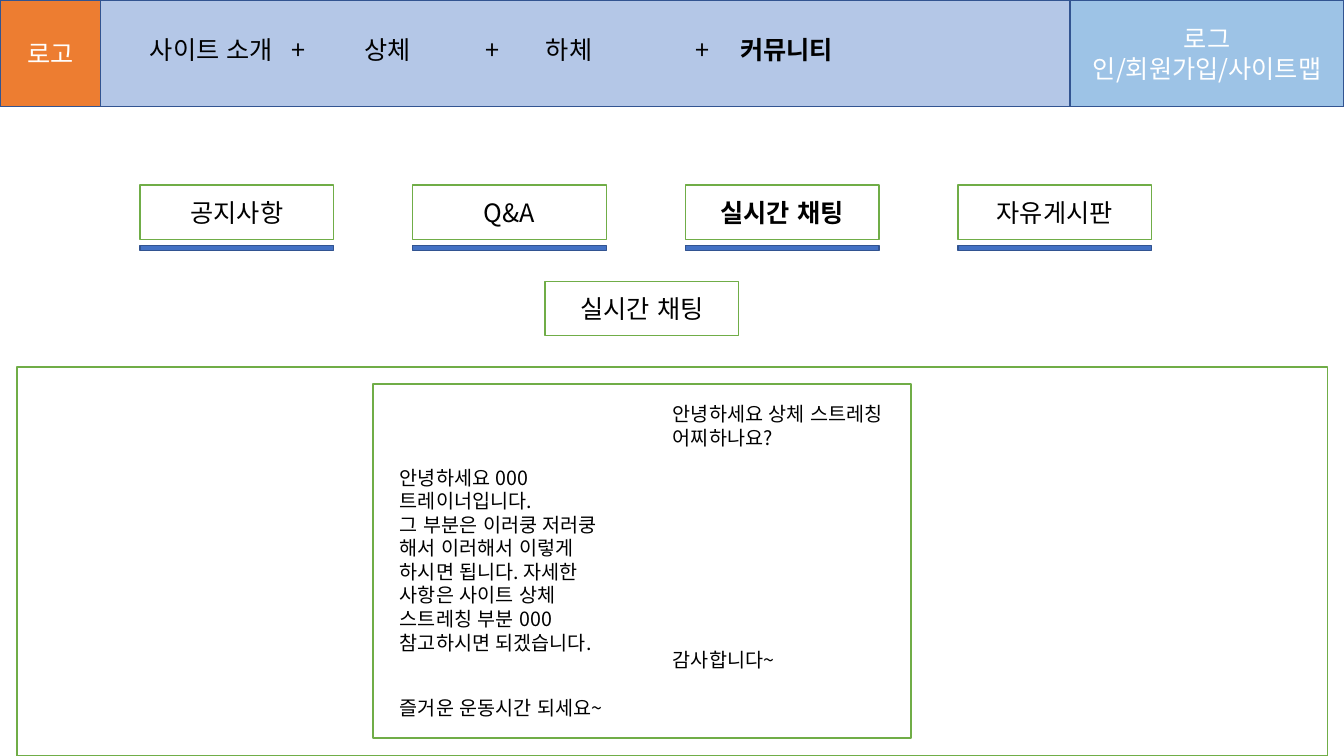
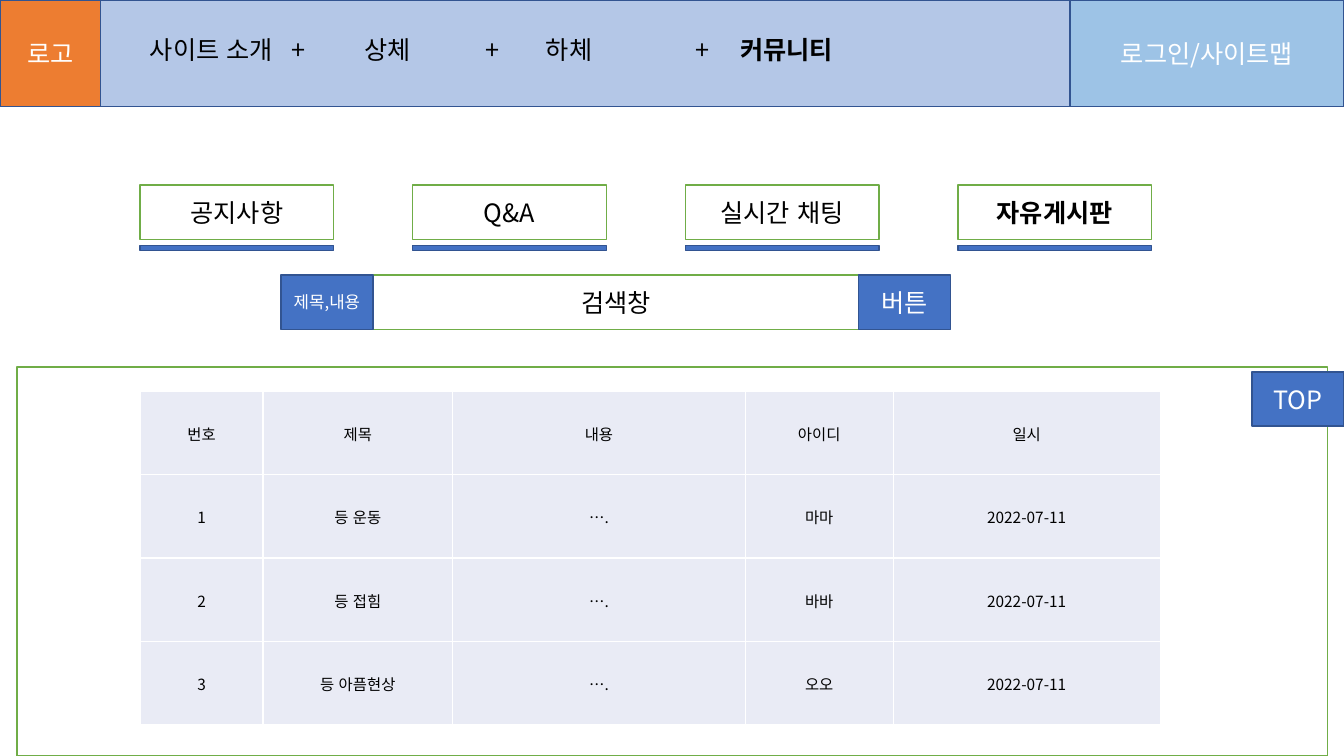
from lxml.etree import SubElement
from pptx import Presentation
from pptx.dml.color import RGBColor
from pptx.enum.lang import MSO_LANGUAGE_ID as LANG
from pptx.enum.shapes import MSO_SHAPE as SHAPE
from pptx.enum.text import MSO_ANCHOR as ANCHOR, MSO_AUTO_SIZE as AUTO, PP_ALIGN as ALIGN
from pptx.oxml.ns import qn
from pptx.util import Cm, Pt

FONT = "Noto Sans CJK KR"
WHITE = RGBColor(0xFF, 0xFF, 0xFF)
BLACK = RGBColor(0x00, 0x00, 0x00)
BLUE = RGBColor(0x44, 0x72, 0xC4)
NAVY = RGBColor(0x32, 0x54, 0x91)
ORANGE = RGBColor(0xED, 0x7D, 0x31)
NAV_BLUE = RGBColor(0xB4, 0xC7, 0xE7)
LOGIN_BLUE = RGBColor(0x9D, 0xC3, 0xE6)
GREEN = RGBColor(0x70, 0xAD, 0x47)
CELL_GREY = RGBColor(0xE9, 0xEB, 0xF5)

SLIDE_W, SLIDE_H = 33.87, 19.05
HEADER_H = 2.69
LOGO_W, NAV_W = 2.54, 24.43
LEFT = 3.53
BOX_W, BOX_H = 4.88, 1.37
BUTTON_W = 2.32
TAB_TOP, TAB_PITCH, BAR_TOP, BAR_H = 4.66, 6.87, 6.18, 0.13
PANEL_TOP = 9.25

NAV_ITEMS = ["사이트 소개", "+", "상체", "+", "하체", "+"]
NAV_STOPS = [3.57, 5.4, 8.46, 9.98, 13.76, 14.87]
TABS = ["공지사항", "Q&A", "실시간 채팅", "자유게시판"]

CHAT = [
    (9.83, 11.61, 5.99, 5.05, [
        "안녕하세요 000 트레이너입니다. ",
        "그 부분은 이러쿵 저러쿵 해서 이러해서 이렇게 하시면 됩니다. "
        "자세한 사항은 사이트 상체 스트레칭 부분 000 참고하시면 되겠습니다."]),
    (16.71, 10.01, 5.99, 1.45, ["안녕하세요 상체 스트레칭 어찌하나요?"]),
    (16.71, 16.21, 5.99, 0.86, ["감사합니다~"]),
    (9.83, 17.42, 6.6, 0.86, ["즐거운 운동시간 되세요~"]),
]

COLUMNS = [3.1, 4.78, 7.37, 3.73, 6.73]
ROW_H = 2.1
DATE = "2022-07-11"
POSTS = [
    ["번호", "제목", "내용", "아이디", "일시"],
    ["1", "등 운동", "….", "마마", DATE],
    ["2", "등 접힘", "….", "바바", DATE],
    ["3", "등 아픔현상", "….", "오오", DATE],
]


def add_run(p, text, size=18, color=BLACK, bold=False):
    """Append a Korean run in the deck font."""
    r = p.add_run()
    r.text = text
    r.font.size = Pt(size)
    r.font.bold = bold
    r.font.color.rgb = color
    r.font.name = FONT
    r.font.language_id = LANG.KOREAN
    SubElement(r.font._element, qn("a:ea"), typeface=FONT)


def add_box(s, x, y, w, h, text="", fill=WHITE, line=GREEN, **style):
    """Draw an outlined rectangle with an optional centred label."""
    sp = s.shapes.add_shape(SHAPE.RECTANGLE, Cm(x), Cm(y), Cm(w), Cm(h))
    sp.shadow.inherit = False
    sp.fill.solid()
    sp.fill.fore_color.rgb = fill
    sp.line.color.rgb = line
    sp.line.width = Pt(1)
    if text:
        tf = sp.text_frame
        tf.word_wrap = True
        tf.vertical_anchor = ANCHOR.MIDDLE
        tf.paragraphs[0].alignment = ALIGN.CENTER
        add_run(tf.paragraphs[0], text, **style)


def add_button(s, x, y, text, size=18):
    """Draw a solid blue button."""
    add_box(s, x, y, BUTTON_W, BOX_H, text, BLUE, NAVY, size=size, color=WHITE)


def add_textbox(s, x, y, w, h):
    """Add a wrapping text box that grows with its text; return its frame."""
    tf = s.shapes.add_textbox(Cm(x), Cm(y), Cm(w), Cm(h)).text_frame
    tf.word_wrap = True
    tf.auto_size = AUTO.SHAPE_TO_FIT_TEXT
    return tf


def add_nav(s):
    """Set the menu items on tab stops, the current one in bold."""
    p = add_textbox(s, LEFT, 0.74, 21.72, 1.02).paragraphs[0]
    stops = SubElement(p._p.get_or_add_pPr(), qn("a:tabLst"))
    for stop in NAV_STOPS:
        SubElement(stops, qn("a:tab"), pos=str(Cm(stop)), algn="l")
    for item in NAV_ITEMS:
        add_run(p, item + "\t")
    add_run(p, "커뮤니티", bold=True)


def add_header(s, login):
    """Draw the logo, menu and login areas of the top band."""
    login_x = LOGO_W + NAV_W
    add_box(s, 0, 0, SLIDE_W, HEADER_H, fill=BLUE, line=NAVY)
    add_box(s, 0, 0, LOGO_W, HEADER_H, "로고", ORANGE, NAVY, color=WHITE)
    add_box(s, LOGO_W, 0, NAV_W, HEADER_H, fill=NAV_BLUE, line=NAVY)
    add_box(s, login_x, 0, SLIDE_W - login_x, HEADER_H, login,
            LOGIN_BLUE, NAVY, color=WHITE)
    add_nav(s)


def add_tabs(s, current):
    """Draw the underlined community tabs, the current one in bold."""
    for i, name in enumerate(TABS):
        x = LEFT + i * TAB_PITCH
        add_box(s, x, TAB_TOP, BOX_W, BOX_H, name, bold=name == current)
        add_box(s, x, BAR_TOP, BOX_W, BAR_H, fill=BLUE, line=NAVY)


def add_page(prs, login, current):
    """Add a slide with the shared header, tabs and content panel."""
    s = prs.slides.add_slide(prs.slide_layouts[6])
    add_header(s, login)
    add_tabs(s, current)
    add_box(s, 0.43, PANEL_TOP, 33.02, SLIDE_H - PANEL_TOP)
    return s


def add_message(s, x, y, w, h, lines):
    """Add one chat message, a paragraph per line."""
    tf = add_textbox(s, x, y, w, h)
    for i, line in enumerate(lines):
        p = tf.add_paragraph() if i else tf.paragraphs[0]
        add_run(p, line, size=14)


def add_borders(cell):
    """Give a cell thin white borders on all sides, ahead of its fill."""
    tc_pr = cell._tc.get_or_add_tcPr()
    for i, side in enumerate(("lnL", "lnR", "lnT", "lnB")):
        ln = SubElement(tc_pr, qn("a:" + side), w=str(Pt(1)))
        fill = SubElement(ln, qn("a:solidFill"))
        SubElement(fill, qn("a:srgbClr"), val=str(WHITE))
        tc_pr.insert(i, ln)


def add_posts(s, x, y):
    """Add the table of board posts."""
    table = s.shapes.add_table(len(POSTS), len(COLUMNS), Cm(x), Cm(y),
                               Cm(sum(COLUMNS)), Cm(ROW_H * len(POSTS))).table
    for column, width in zip(table.columns, COLUMNS):
        column.width = Cm(width)
    for i, post in enumerate(POSTS):
        table.rows[i].height = Cm(ROW_H)
        for j, text in enumerate(post):
            cell = table.cell(i, j)
            cell.fill.solid()
            cell.fill.fore_color.rgb = CELL_GREY
            add_borders(cell)
            cell.margin_left = cell.margin_right = cell.margin_top = Cm(0.03)
            cell.margin_bottom = 0
            cell.vertical_anchor = ANCHOR.MIDDLE
            p = cell.text_frame.paragraphs[0]
            p.alignment = ALIGN.CENTER
            add_run(p, text, size=11)


def add_chat_page(prs):
    """Build the live chat page."""
    s = add_page(prs, "로그인/회원가입/사이트맵", "실시간 채팅")
    add_box(s, 13.74, 7.09, BOX_W, BOX_H, "실시간 채팅")
    add_box(s, 9.4, 9.68, 13.56, 8.92)
    for message in CHAT:
        add_message(s, *message)


def add_board_page(prs):
    """Build the free board page with its search row and posts."""
    s = add_page(prs, "로그인/사이트맵", "자유게시판")
    search_x, search_y, search_w = 9.4, 6.93, 12.24
    add_box(s, search_x, search_y, search_w, BOX_H, "검색창")
    add_button(s, search_x + search_w, search_y, "버튼")
    add_button(s, search_x - BUTTON_W, search_y, "제목,내용", size=12)
    add_button(s, SLIDE_W - BUTTON_W, 9.37, "TOP")
    add_posts(s, LEFT, 9.86)


def main():
    """Build and save the deck."""
    prs = Presentation()
    prs.slide_width, prs.slide_height = Cm(SLIDE_W), Cm(SLIDE_H)
    add_chat_page(prs)
    add_board_page(prs)
    prs.save("out.pptx")


main()
